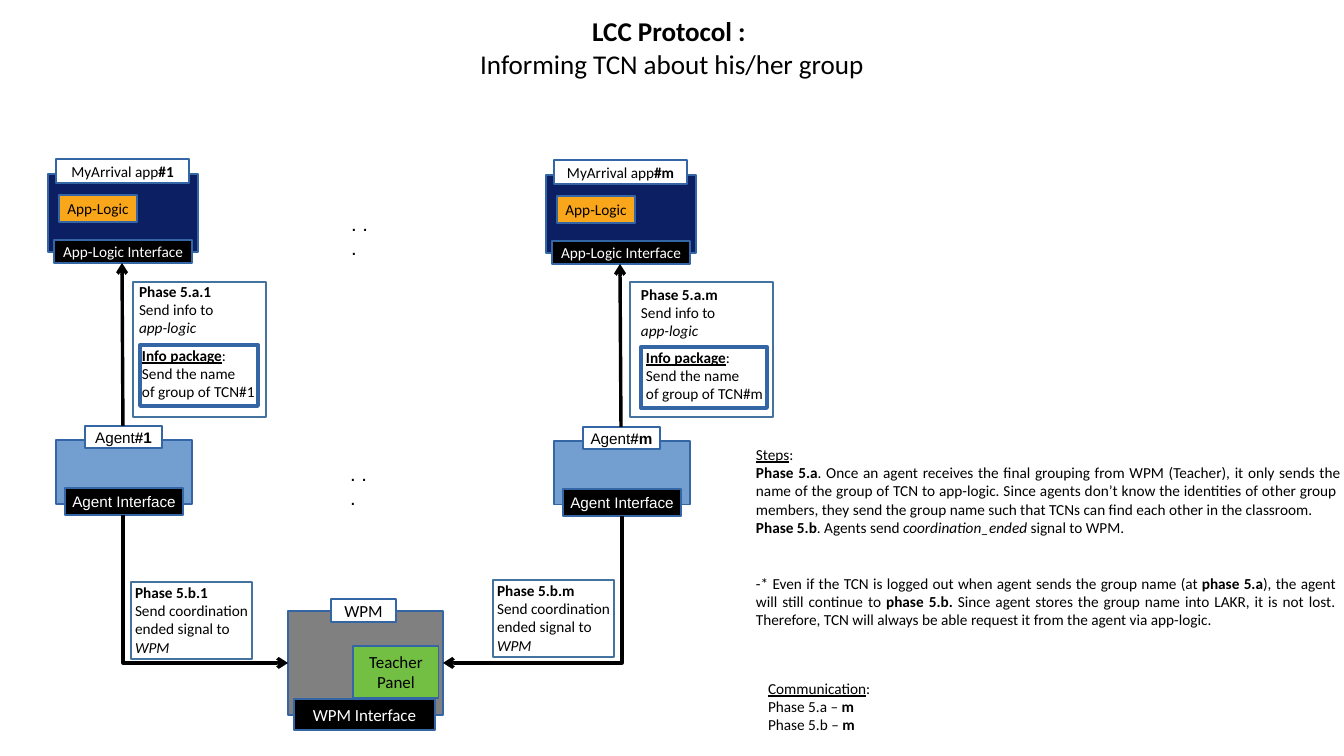
"""Build the LCC Protocol slide on informing a TCN about the group."""
from pptx import Presentation
from pptx import util as u
from pptx.dml.color import RGBColor
from pptx.enum import shapes, text
from pptx.oxml import parse_xml
from pptx.oxml.ns import nsdecls

SCALE = 914400 / 122
BLACK, WHITE, EDGE, FRAME = "000000", "FFFFFF", "3465A4", "43739E"
NAVY, ORANGE, BLUE, GRAY, GREEN = "0D1F63", "FAA61A", "729FCF", "808080", "72BF44"
LEFT, CENTER, JUSTIFY = text.PP_ALIGN.LEFT, text.PP_ALIGN.CENTER, text.PP_ALIGN.JUSTIFY

TITLE = [("LCC Protocol : \n", "b"), ("Informing TCN about his/her group", "")]

COLUMN_STEP = (498, 1)
COLUMN_BOXES = [
    ((48, 174, 150, 78), NAVY, [], "Calibri"),
    ((56, 159, 133, 24), WHITE, [("MyArrival app", ""), ("#{}", "b")], "Calibri"),
    ((59, 195, 78, 27), ORANGE, [("App-Logic", "")], "Calibri"),
    ((54, 240, 138, 23), BLACK, [("App-Logic Interface", "")], "Calibri"),
    ((56, 440, 136, 64), BLUE, [], "Arial"),
    ((85, 426, 77, 22), WHITE, [("Agent", ""), ("#{}", "b")], "Arial"),
    ((65, 488, 118, 27), BLACK, [("Agent Interface", "")], "Arial"),
]
UP_ARROW = ((123, 426), (122, 263))

WPM_BOXES = [
    ((288, 611, 155, 104), GRAY, []),
    ((331, 599, 65, 23), WHITE, [("WPM", "")]),
    ((353, 646, 86, 52), GREEN, [("Teacher\nPanel", "")]),
    ((294, 699, 141, 31), BLACK, [("WPM Interface", "")]),
]

INFO_TEXT = [("Info package", "bu"), (":\nSend the name \nof group of TCN#{}", "")]
SEND_TEXT = [("Phase 5.a.{} \n", "b"), ("Send info to \n", ""), ("app-logic", "i")]
SIGNAL_TEXT = [("Phase 5.b.{}\n", "b"), ("Send coordination \nended signal to \n", ""), ("WPM", "i")]
COLUMNS = [
    {"name": "1", "info": (140, 345, 118, 61), "send": (133, 282, 133, 135), "signal": (131, 582, 121, 77),
     "notes": [((130, 340, 139, 68), INFO_TEXT), ((127, 276, 104, 68), SEND_TEXT), ((123, 577, 143, 88), SIGNAL_TEXT)],
     "elbow": ((123, 515), (288, 663))},
    {"name": "m", "info": (641, 347, 126, 61), "send": (630, 282, 143, 135), "signal": (493, 580, 121, 77),
     "notes": [((634, 342, 151, 68), INFO_TEXT), ((629, 279, 105, 68), SEND_TEXT), ((485, 575, 143, 88), SIGNAL_TEXT)],
     "elbow": ((622, 516), (443, 663))},
]

DOTS = [(338, 455, 50, 35), (339, 205, 50, 35)]

STEPS = [
    [("Steps", "u"), (":", "")],
    [("Phase 5.a", "b"),
     (". Once an agent receives the final grouping from WPM (Teacher), it only sends the\n"
      "name of the group of TCN to app-logic. Since agents don’t know the identities of other group \n"
      "members, they send the group name such that TCNs can find each other in the classroom. ", "")],
    [("Phase 5.b", "b"), (". Agents send ", ""), ("coordination_ended ", "i"), ("signal to WPM. ", "")],
    [("-* Even if the TCN is logged out when agent sends the group name (at ", ""), ("phase 5.a", "b"),
     ("), the agent \nwill still continue to ", ""), ("phase 5.b. ", "b"),
     ("Since agent stores the group name into LAKR, it is not lost. \n"
      "Therefore, TCN will always be able request it from the agent via app-logic. ", "")],
]
COMMUNICATION = [
    [("Communication", "u"), (":", "")],
    [("Phase 5.a – ", ""), ("m", "b")],
    [("Phase 5.b – ", ""), ("m", "b")],
]


def px(*lengths):
    return [u.Emu(round(length * SCALE)) for length in lengths]


def color(value):
    return RGBColor.from_string(value)


def write(frame, paragraphs, size=9, font="Calibri", ink=BLACK, align=LEFT, name=""):
    for number, spans in enumerate(paragraphs):
        para = frame.add_paragraph() if number else frame.paragraphs[0]
        para.alignment = align
        for words, style in spans:
            for row, line in enumerate(words.format(name).split("\n")):
                if row:
                    para.add_line_break()
                if line:
                    span = para.add_run()
                    span.text = line
                    span.font.size, span.font.name = u.Pt(size), font
                    span.font.color.rgb = color(ink)
                    span.font.bold, span.font.italic = "b" in style, "i" in style
                    span.font.underline = "u" in style


def add_box(area, fill, edge=EDGE, width=0):
    box = page.shapes.add_shape(shapes.MSO_SHAPE.RECTANGLE, *px(*area))
    box.shadow.inherit = False
    if fill:
        box.fill.solid()
        box.fill.fore_color.rgb = color(fill)
    else:
        box.fill.background()
    box.line.color.rgb = color(edge)
    box.line.width = u.Pt(width)
    return box


def add_label(area, fill, spans, size, font="Calibri", name=""):
    frame = add_box(area, fill).text_frame
    frame.word_wrap = False
    frame.vertical_anchor = text.MSO_ANCHOR.MIDDLE
    if spans:
        write(frame, [spans], size, font, WHITE if fill == BLACK else BLACK, CENTER, name)


def add_note(area, paragraphs, **options):
    frame = page.shapes.add_textbox(*px(*area)).text_frame
    frame.word_wrap = True
    write(frame, paragraphs, **options)
    return frame


def add_arrow(kind, start, end):
    arrow = page.shapes.add_connector(kind, *px(*start, *end))
    arrow.line.color.rgb = color(BLACK)
    arrow.line.width = u.Pt(0)
    arrow.line._get_or_add_ln().append(parse_xml(f'<a:tailEnd {nsdecls("a")} type="arrow"/>'))
    arrow._element.spPr.append(parse_xml(f'<a:effectLst {nsdecls("a")}/>'))
    return arrow


def add_elbow(start, end):
    (x1, y1), (x2, y2) = start, end
    run, drop = abs(x2 - x1), y2 - y1
    left, top = (x1 + x2 - drop) / 2, (y1 + y2 - run) / 2
    elbow = add_arrow(shapes.MSO_CONNECTOR.ELBOW, (left, top), (left + drop, top + run))
    properties = elbow._element.spPr
    properties.prstGeom.set("prst", "bentConnector2")
    properties.xfrm.set("rot", str((270 if x2 > x1 else 90) * 60000))
    if x2 > x1:
        properties.xfrm.set("flipH", "1")


deck = Presentation()
deck.slide_width, deck.slide_height = px(1344, 756)
page = deck.slides.add_slide(deck.slide_layouts[5])

title = page.shapes.title
title.left, title.top, title.width, title.height = px(67, 13, 1210, 68)
heading = title.text_frame
heading.margin_left = heading.margin_right = heading.margin_top = heading.margin_bottom = 0
heading.auto_size = text.MSO_AUTO_SIZE.NONE
heading.vertical_anchor = text.MSO_ANCHOR.MIDDLE
write(heading, [TITLE], size=16, align=CENTER)

for area, fill, spans in WPM_BOXES:
    add_label(area, fill, spans, 10)

for index, column in enumerate(COLUMNS):
    dx, dy = (index * step for step in COLUMN_STEP)
    for (x, y, w, h), fill, spans, font in COLUMN_BOXES:
        add_label((x + dx, y + dy, w, h), fill, spans, 9, font, column["name"])
    add_arrow(shapes.MSO_CONNECTOR.STRAIGHT, *[(x + dx, y + dy) for x, y in UP_ARROW])
    add_elbow(*column["elbow"])
    add_box(column["info"], WHITE, width=2.3)
    for frame_name in ("send", "signal"):
        add_box(column[frame_name], None, FRAME, 1)
    for area, spans in column["notes"]:
        add_note(area, [spans], name=column["name"])

for area in DOTS:
    add_note(area, [[(". . .", "")]], size=12, font="Arial")

steps = add_note((744, 439, 608, 200), STEPS, align=JUSTIFY)
steps.paragraphs[-1].space_before = u.Pt(22)
add_note((756, 673, 130, 68), COMMUNICATION)

deck.save("out.pptx")
